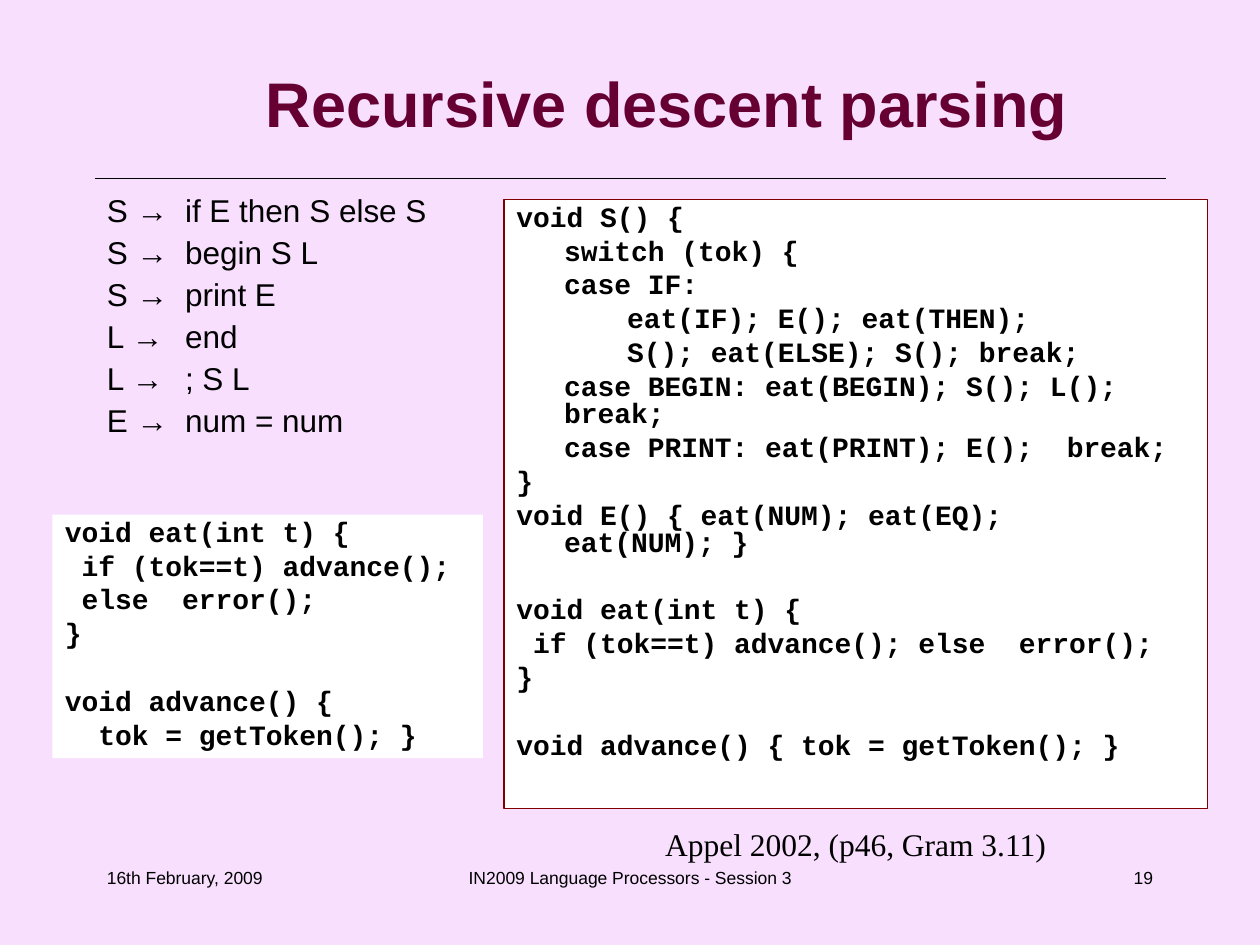
from lxml.etree import SubElement
from pptx import Presentation
from pptx.dml.color import RGBColor
from pptx.enum.shapes import MSO_CONNECTOR
from pptx.enum.text import MSO_ANCHOR, PP_ALIGN as Align
from pptx.oxml.ns import qn
from pptx.util import Inches, Pt

PINK = RGBColor(0xF7, 0xDF, 0xFD)
PLUM = RGBColor(0x66, 0x00, 0x33)
MAROON = RGBColor(0x80, 0x00, 0x00)
BLACK = RGBColor(0, 0, 0)
WHITE = RGBColor(0xFF, 0xFF, 0xFF)

deck = Presentation()
deck.slide_width, deck.slide_height = Inches(10), Inches(7.5)
CELL = deck.slide_width / 120  # the slide is a grid of 120 columns by 90 rows

page = deck.slides.add_slide(deck.slide_layouts[5])
page.background.fill.solid()
page.background.fill.fore_color.rgb = PINK


def place(shape, column, row, columns, rows):
    shape.left, shape.top = round(column * CELL), round(row * CELL)
    shape.width, shape.height = round(columns * CELL), round(rows * CELL)


def write(box, text, size=16, font="Courier New", color=BLACK, bold=False,
          align=Align.LEFT, anchor=MSO_ANCHOR.TOP, line=1.0, before=0,
          gap=0, hanging=0, tab=None):
    """Write one paragraph per line; an empty line adds gap points before the next."""
    frame = box.text_frame
    frame.word_wrap = True
    frame.vertical_anchor = anchor
    para, space = frame.paragraphs[0], 0
    for words in text.split("\n"):
        if not words:
            space += gap
            continue
        if para.runs:
            para = frame.add_paragraph()
        para.alignment = align
        para.line_spacing = line
        para.space_before = Pt(space)
        properties = para._p.get_or_add_pPr()
        if hanging:
            properties.set("marL", str(Inches(hanging)))
            properties.set("indent", str(-Inches(hanging)))
        if tab:
            stops = SubElement(properties, qn("a:tabLst"))
            SubElement(stops, qn("a:tab"), pos=str(Inches(tab)), algn="l")
        span = para.add_run()
        span.text = words
        span.font.size, span.font.name = Pt(size), font
        span.font.bold, span.font.color.rgb = bold, color
        space = before


rule = page.shapes.add_connector(
    MSO_CONNECTOR.STRAIGHT, *(round(n * CELL) for n in (9, 17, 111, 17)))
rule.line.color.rgb = BLACK
rule.line.width = Pt(0.75)
SubElement(rule._element.spPr, qn("a:effectLst"))

title = page.shapes.title
place(title, 13, 4, 101, 11.5)
write(title, "Recursive descent parsing", size=36, font="Arial", color=PLUM,
      bold=True, align=Align.CENTER, anchor=MSO_ANCHOR.MIDDLE)

GRAMMAR = """S →\tif E then S else S
S →\tbegin S L
S →\tprint E
L →\tend
L →\t; S L
E →\tnum = num"""

PARSER = """void S() {
\tswitch (tok) {
\tcase IF:
\t\teat(IF); E(); eat(THEN);
\t\tS(); eat(ELSE); S(); break;
\tcase BEGIN: eat(BEGIN); S(); L(); break;
\tcase PRINT: eat(PRINT); E();  break;
}
void E() { eat(NUM); eat(EQ); eat(NUM); }

void eat(int t) {
 if (tok==t) advance(); else  error();
}

void advance() { tok = getToken(); }"""

HELPERS = """void eat(int t) {
 if (tok==t) advance();
 else  error();
}

void advance() {
  tok = getToken(); }"""

code = dict(bold=True, line=0.8, before=4, gap=19.4)
footer = dict(size=10, font="Arial")
# grid place, text, format, fill, outline
boxes = [
    ((9, 18, 50, 32), GRAMMAR,
     dict(size=18, font="Arial", line=0.9, before=4.5, tab=0.62), None, None),
    ((48, 19, 67, 58), PARSER, dict(code, hanging=0.38, tab=1), WHITE, MAROON),
    ((62, 78, 39, 4.8), "Appel 2002, (p46, Gram 3.11)",
     dict(size=18, font="Times New Roman", align=Align.CENTER), None, None),
    ((5, 49, 41, 23.2), HELPERS, code, WHITE, None),
    ((9, 82, 25, 6), "16th February, 2009", footer, None, None),
    ((41, 82, 38, 6), "IN2009 Language Processors - Session 3",
     dict(footer, align=Align.CENTER), None, None),
    ((86, 82, 25, 6), "19", dict(footer, align=Align.RIGHT), None, None),
]
for cells, text, style, fill, outline in boxes:
    box = page.shapes.add_textbox(0, 0, 0, 0)
    place(box, *cells)
    if fill:
        box.fill.solid()
        box.fill.fore_color.rgb = fill
    if outline:
        box.line.color.rgb = outline
        box.line.width = Pt(0.75)
    write(box, text, **style)

deck.save("out.pptx")
